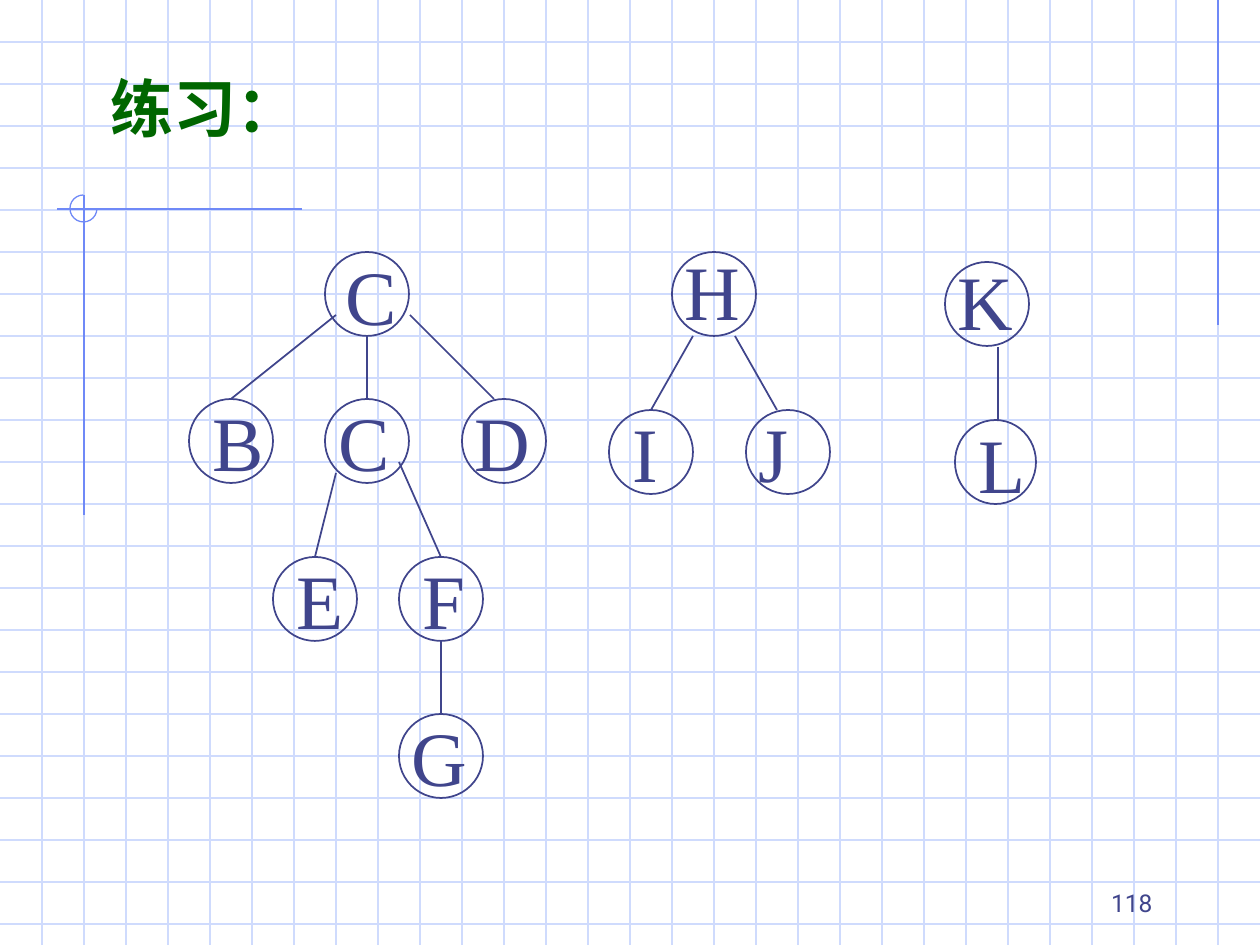
import pptx
import pptx.dml.color
import pptx.enum.shapes
import pptx.enum.text
import pptx.oxml
import pptx.util

PX = 914400 // 126
WIDTH, HEIGHT = 1260, 945
GRID_STEP = 42
CIRCLE = 84
LETTER_HEIGHT = 106

GRID_BLUE = pptx.dml.color.RGBColor(0xCF, 0xDB, 0xFD)
ACCENT_BLUE = pptx.dml.color.RGBColor(0x6F, 0x89, 0xF7)
INDIGO = pptx.dml.color.RGBColor(0x40, 0x45, 0x8C)
GREEN = pptx.dml.color.RGBColor(0x00, 0x66, 0x00)

TITLE = "练习："
PAGE_NUMBER = "118"

# key: letter, circle left, top, width, letter box left, top, width
NODES = {
    "root C": ("C", 325, 252, CIRCLE, 333, 242, 77),
    "B": ("B", 189, 399, CIRCLE, 200, 388, 77),
    "C": ("C", 325, 399, CIRCLE, 326, 388, 77),
    "D": ("D", 462, 399, CIRCLE, 462, 388, 81),
    "E": ("E", 273, 557, CIRCLE, 284, 546, 72),
    "F": ("F", 399, 557, CIRCLE, 410, 546, 68),
    "G": ("G", 399, 714, CIRCLE, 399, 703, 81),
    "H": ("H", 672, 252, CIRCLE, 672, 237, 81),
    "I": ("I", 609, 410, CIRCLE, 620, 399, 50),
    "J": ("J", 746, 410, CIRCLE, 746, 399, 55),
    "K": ("K", 945, 262, CIRCLE, 945, 247, 81),
    "L": ("L", 955, 420, 81, 966, 410, 72),
}

# start point, end point, child whose top the line joins
BRANCHES = [
    ((336, 315), (231, 399), "B"),
    ((367, 336), (367, 399), "C"),
    ((410, 315), (494, 399), None),
    ((336, 473), (315, 557), "E"),
    ((399, 462), (441, 557), "F"),
    ((441, 641), (441, 714), "G"),
    ((693, 336), (651, 410), "I"),
    ((735, 336), (777, 410), None),
    ((998, 347), (998, 420), None),
]

ACCENT_LINES = [
    ((1218, 0), (1218, 325)),
    ((302, 209), (57, 209)),
    ((84, 195), (84, 515)),
]


def px(*lengths):
    return [length * PX for length in lengths]


def add_line(slide, start, end, color, width=0.75):
    line = slide.shapes.add_connector(
        pptx.enum.shapes.MSO_CONNECTOR.STRAIGHT, *px(*start, *end))
    line.line.color.rgb = color
    line.line.width = pptx.util.Pt(width)
    line._element.spPr.append(pptx.oxml.parse_xml(
        '<a:effectLst xmlns:a="http://schemas.openxmlformats.org/drawingml/2006/main"/>'))
    return line


def add_outline(slide, kind, box, color, width):
    outline = slide.shapes.add_shape(kind, *px(*box))
    outline.shadow.inherit = False
    outline.fill.background()
    outline.line.color.rgb = color
    outline.line.width = pptx.util.Pt(width)
    return outline


def add_text(slide, text, box, size, color, font="Times New Roman", bold=False,
             align=pptx.enum.text.PP_ALIGN.LEFT,
             anchor=pptx.enum.text.MSO_ANCHOR.TOP, inset=13):
    frame = slide.shapes.add_textbox(*px(*box)).text_frame
    frame.word_wrap = True
    frame.vertical_anchor = anchor
    frame.margin_left = inset * PX
    paragraph = frame.paragraphs[0]
    paragraph.alignment = align
    run = paragraph.add_run()
    run.text = text
    run.font.name = font
    run.font.size = pptx.util.Pt(size)
    run.font.bold = bold
    run.font.color.rgb = color


def draw_background(slide):
    for y in range(GRID_STEP, HEIGHT, GRID_STEP):
        add_line(slide, (0, y), (WIDTH, y), GRID_BLUE)
    for x in range(GRID_STEP, WIDTH, GRID_STEP):
        add_line(slide, (x, 0), (x, HEIGHT), GRID_BLUE)
    for start, end in ACCENT_LINES:
        add_line(slide, start, end, ACCENT_BLUE)
    arc = add_outline(slide, pptx.enum.shapes.MSO_SHAPE.ARC,
                      (70, 195, 27, 27), ACCENT_BLUE, 0.75)
    # Three quarters of a turn; angles are 60000ths of a degree over 100000
    arc.adjustments[0] = 0
    arc.adjustments[1] = 270 * 0.6


def draw_trees(slide):
    circles = {}
    for key, (letter, x, y, width, text_x, text_y, text_width) in NODES.items():
        circles[key] = add_outline(slide, pptx.enum.shapes.MSO_SHAPE.OVAL,
                                   (x, y, width, CIRCLE), INDIGO, 1)
        add_text(slide, letter, (text_x, text_y, text_width, LETTER_HEIGHT),
                 44, INDIGO)
    for start, end, child in BRANCHES:
        branch = add_line(slide, start, end, INDIGO, 1)
        if child:
            branch.end_connect(circles[child], 0)


def main():
    deck = pptx.Presentation()
    deck.slide_width, deck.slide_height = px(WIDTH, HEIGHT)
    slide = deck.slides.add_slide(deck.slide_layouts[6])
    draw_background(slide)
    draw_trees(slide)
    add_text(slide, TITLE, (0, 63, WIDTH, 164), 36, GREEN, bold=True, inset=111)
    add_text(slide, PAGE_NUMBER, (903, 861, 262, 63), 14, INDIGO, font="Roboto",
             align=pptx.enum.text.PP_ALIGN.RIGHT,
             anchor=pptx.enum.text.MSO_ANCHOR.BOTTOM)
    deck.save("out.pptx")


if __name__ == "__main__":
    main()
